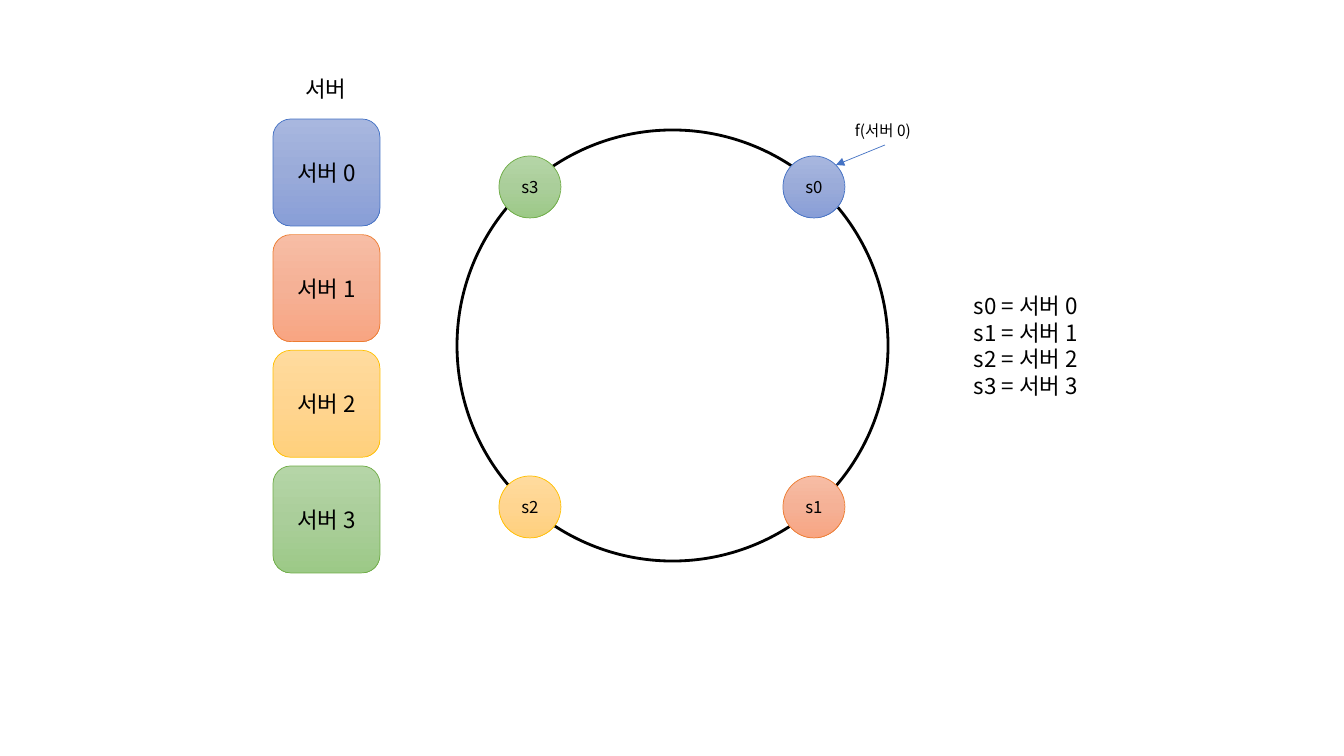
import copy
import pptx
import pptx.util
import pptx.dml.color
import pptx.enum.shapes
import pptx.enum.text
import pptx.oxml.ns
import lxml.etree

SCALE = 914400 / 100.8
FONT = "Noto Sans CJK KR"
COLORS = {
    "text": "000000",
    "ring": "000000",
    "arrow": "4472C4",
    "blue": ("A8B7DF", "9AABD9", "889ED7", "4472C4"),
    "orange": ("F7BDA5", "F5B196", "F8A582", "ED7D31"),
    "yellow": ("FFDB9E", "FFD590", "FFD07C", "FFC000"),
    "green": ("B5D5A7", "AACE9A", "9CC987", "70AD47"),
}
SERVERS = ("blue", "orange", "yellow", "green")
SHAPES = pptx.enum.shapes.MSO_SHAPE
ALIGN = pptx.enum.text.PP_ALIGN
ANCHOR = pptx.enum.text.MSO_ANCHOR
qn = pptx.oxml.ns.qn


def emu(*pixels):
    """Turn pixel lengths into EMU."""
    return [pptx.util.Emu(round(pixel * SCALE)) for pixel in pixels]


def rgb(value):
    """Make a colour from a hex string."""
    return pptx.dml.color.RGBColor.from_string(value)


def write(shape, lines, size, align, anchor, wrap):
    """Fill a shape with one paragraph per line."""
    frame = shape.text_frame
    frame.word_wrap = wrap
    frame.vertical_anchor = anchor
    for index, line in enumerate(lines):
        para = frame.add_paragraph() if index else frame.paragraphs[0]
        para.alignment = align
        span = para.add_run()
        span.text = line
        span.font.size = pptx.util.Pt(size)
        span.font.name = FONT
        span.font.color.rgb = rgb(COLORS["text"])
        east = lxml.etree.SubElement(span.font._element, qn("a:ea"))
        east.set("typeface", FONT)


def add_label(page, box, lines, size, align=ALIGN.LEFT, anchor=ANCHOR.TOP, wrap=False):
    """Add a plain text box."""
    label = page.shapes.add_textbox(*emu(*box))
    write(label, lines, size, align, anchor, wrap)


def add_block(page, kind, box, color, text, size):
    """Add a gradient shape with centred text."""
    block = page.shapes.add_shape(kind, *emu(*box))
    block.shadow.inherit = False
    *shades, edge = COLORS[color]
    block.fill.gradient()
    block.fill.gradient_angle = 270
    stop_list = block._element.spPr.find(".//" + qn("a:gsLst"))
    stop_list.append(copy.deepcopy(stop_list[0]))
    for stop, shade, position in zip(block.fill.gradient_stops, shades, (0, 0.5, 1)):
        stop.color.rgb = rgb(shade)
        stop.position = position
    block.line.color.rgb = rgb(edge)
    block.line.width = pptx.util.Pt(0.5)
    write(block, [text], size, ALIGN.CENTER, ANCHOR.MIDDLE, True)


def add_server_column(page, box):
    """Stack the servers evenly under their heading."""
    left, top, width, height = box
    add_label(page, (left + 20, top - 49, 66, 37), ["서버"], 16, ALIGN.CENTER)
    pitch = (height - width) / (len(SERVERS) - 1)
    for index, color in enumerate(SERVERS):
        place = (left, top + index * pitch, width, width)
        add_block(page, SHAPES.ROUNDED_RECTANGLE, place, color, f"서버 {index}", 16)


def add_hash_ring(page, box):
    """Draw the ring, its four nodes and the hash arrow."""
    left, top, width, height = box
    ring = page.shapes.add_shape(SHAPES.OVAL, *emu(*box))
    ring.shadow.inherit = False
    ring.fill.background()
    ring.line.color.rgb = rgb(COLORS["ring"])
    ring.line.width = pptx.util.Pt(2)

    node = 62
    near_x, near_y = left + 42, top + 26
    far_x, far_y = near_x + 284, near_y + 320
    corners = ((far_x, near_y), (far_x, far_y), (near_x, far_y), (near_x, near_y))
    for index, (color, corner) in enumerate(zip(SERVERS, corners)):
        add_block(page, SHAPES.OVAL, (*corner, node, node), color, f"s{index}", 12)

    add_label(page, (far_x + node, top - 14, 80, 29), ["f(서버 0)"], 11, wrap=True)
    arrow = page.shapes.add_connector(
        pptx.enum.shapes.MSO_CONNECTOR.STRAIGHT,
        *emu(far_x + 102, top + 15, far_x + 53, top + 35))
    arrow.line.color.rgb = rgb(COLORS["arrow"])
    arrow.line.width = pptx.util.Pt(0.5)
    outline = arrow.line._get_or_add_ln()
    lxml.etree.SubElement(outline, qn("a:tailEnd")).set("type", "triangle")
    lxml.etree.SubElement(arrow._element.spPr, qn("a:effectLst"))


def add_legend(page, box):
    """List which node stands for which server."""
    lines = [f"s{index} = 서버 {index}" for index in range(len(SERVERS))]
    add_label(page, box, lines, 16, anchor=ANCHOR.MIDDLE)


deck = pptx.Presentation()
deck.slide_width, deck.slide_height = emu(1344, 756)
page = deck.slides.add_slide(deck.slide_layouts[6])
add_hash_ring(page, (457, 130, 431, 431))
add_server_column(page, (273, 119, 107, 454))
add_legend(page, (964, 286, 140, 119))
deck.save("out.pptx")
